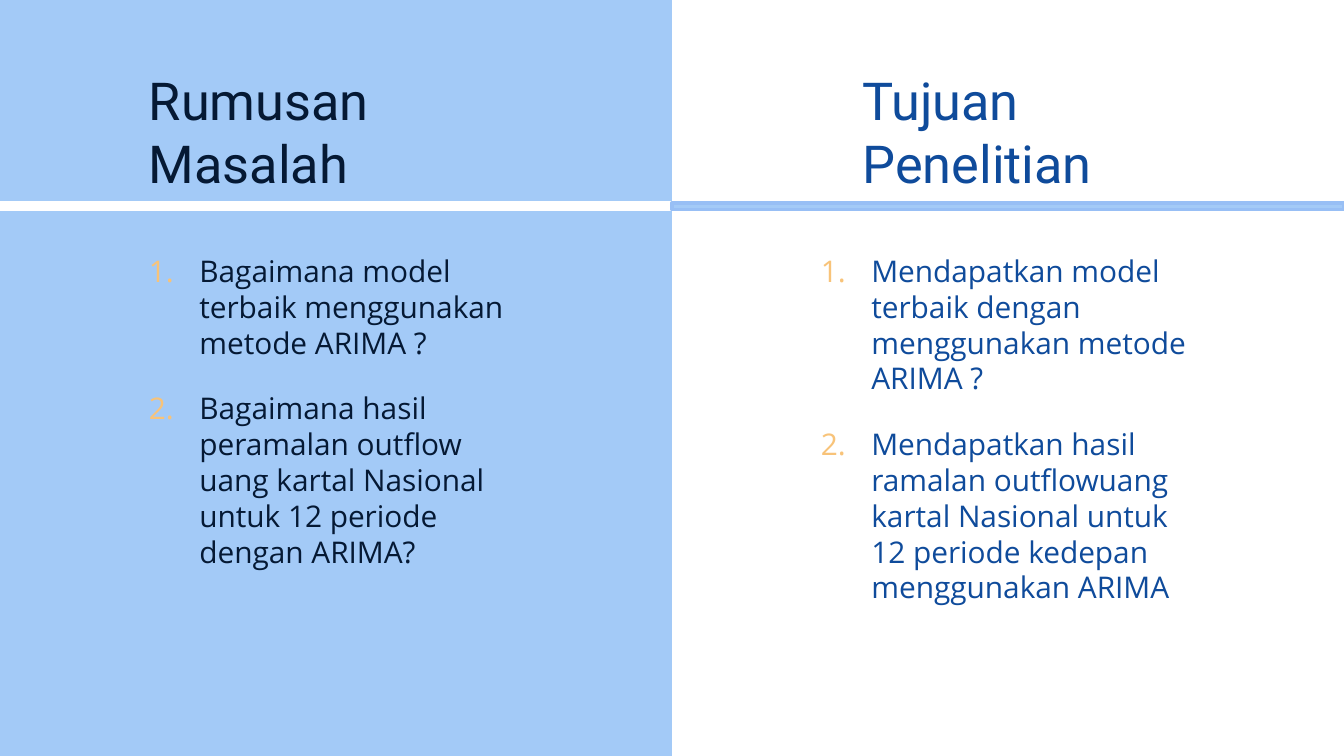
from dataclasses import dataclass

import pptx
import pptx.dml.color
import pptx.enum.shapes
import pptx.enum.text
import pptx.oxml.ns
import pptx.util
from lxml import etree


@dataclass(frozen=True)
class Theme:
    sky: str = "A3CAF7"
    sky_edge: str = "98BFF5"
    white: str = "FFFFFF"
    navy: str = "051934"
    blue: str = "0F4B9B"
    number: str = "F8C379"
    title_font: str = "Roboto"
    body_font: str = "Open Sans"
    title_size: float = 28
    body_size: float = 16
    line_height: float = 1.2


@dataclass(frozen=True)
class Column:
    index: int
    title: str
    title_indent: float
    items: tuple[str, ...]
    ink: str
    rule_fill: str
    rule_edge: str


THEME = Theme()
WIDTH = 10
HEIGHT = WIDTH * 9 / 16
HALF = WIDTH / 2
TEXT_INDENT, TEXT_WIDTH = 1.01, 2.98
HANGING = 3 / 8

COLUMNS = (
    Column(0, "Rumusan Masalah", TEXT_INDENT, (
        "Bagaimana model terbaik menggunakan metode ARIMA ?",
        "Bagaimana hasil peramalan outflow uang kartal Nasional untuk 12 periode dengan ARIMA?",
    ), THEME.navy, THEME.white, THEME.white),
    Column(1, "Tujuan Penelitian", 1.32, (
        "Mendapatkan model terbaik dengan menggunakan metode ARIMA ?",
        "Mendapatkan hasil ramalan outflowuang kartal Nasional untuk 12 periode kedepan "
        "menggunakan ARIMA",
    ), THEME.blue, THEME.sky, THEME.sky_edge),
)


def color(value: str) -> pptx.dml.color.RGBColor:
    return pptx.dml.color.RGBColor.from_string(value)


def add_block(page, left: float, top: float, width: float, height: float,
              fill: str, edge: str | None = None) -> None:
    box = page.shapes.add_shape(
        pptx.enum.shapes.MSO_SHAPE.RECTANGLE,
        *map(pptx.util.Inches, (left, top, width, height)))
    box.shadow.inherit = False
    box.fill.solid()
    box.fill.fore_color.rgb = color(fill)
    if edge:
        box.line.color.rgb = color(edge)
        box.line.width = pptx.util.Pt(2)
    else:
        box.line.fill.background()


def add_text(page, left: float, top: float, height: float, lines: tuple[str, ...],
             font: str, size: float, ink: str) -> list:
    box = page.shapes.add_textbox(
        *map(pptx.util.Inches, (left, top, TEXT_WIDTH, height)))
    frame = box.text_frame
    frame.word_wrap = True
    frame.vertical_anchor = pptx.enum.text.MSO_ANCHOR.TOP
    frame.margin_left = frame.margin_right = pptx.util.Inches(0.1)
    frame.margin_top = frame.margin_bottom = pptx.util.Inches(0.1)
    frame.text = "\n".join(lines)
    for para in frame.paragraphs:
        para.font.name = font
        para.font.size = pptx.util.Pt(size)
        para.font.color.rgb = color(ink)
        para.line_spacing = pptx.util.Pt(size * THEME.line_height)
    return list(frame.paragraphs)


def number_paragraph(para) -> None:
    para.space_after = pptx.util.Pt(16)
    properties = para._p.get_or_add_pPr()
    indent = pptx.util.Inches(HANGING)
    properties.set("marL", str(indent))
    properties.set("indent", str(-indent))
    # Bullet elements belong just before the default run properties
    bullet_color = etree.Element(pptx.oxml.ns.qn("a:buClr"))
    etree.SubElement(bullet_color, pptx.oxml.ns.qn("a:srgbClr"), val=THEME.number)
    numbering = etree.Element(pptx.oxml.ns.qn("a:buAutoNum"), type="arabicPeriod")
    run_defaults = properties.find(pptx.oxml.ns.qn("a:defRPr"))
    run_defaults.addprevious(bullet_color)
    run_defaults.addprevious(numbering)


def add_column(page, column: Column) -> None:
    left = column.index * HALF
    add_text(page, left + column.title_indent, 0.41, 0.63, (column.title,),
             THEME.title_font, THEME.title_size, column.ink)
    for para in add_text(page, left + TEXT_INDENT, 1.78, 2.06, column.items,
                         THEME.body_font, THEME.body_size, column.ink):
        number_paragraph(para)
    add_block(page, left, 1.51, HALF, 0.05, column.rule_fill, column.rule_edge)


def main() -> None:
    deck = pptx.Presentation()
    deck.slide_width = pptx.util.Inches(WIDTH)
    deck.slide_height = pptx.util.Inches(HEIGHT)
    page = deck.slides.add_slide(deck.slide_layouts[6])
    page.background.fill.solid()
    page.background.fill.fore_color.rgb = color(THEME.white)

    # Tinted left half
    add_block(page, 0, 0, HALF, HEIGHT, THEME.sky)

    # Heading, numbered list and rule in each half
    for column in COLUMNS:
        add_column(page, column)

    deck.save("out.pptx")


if __name__ == "__main__":
    main()
